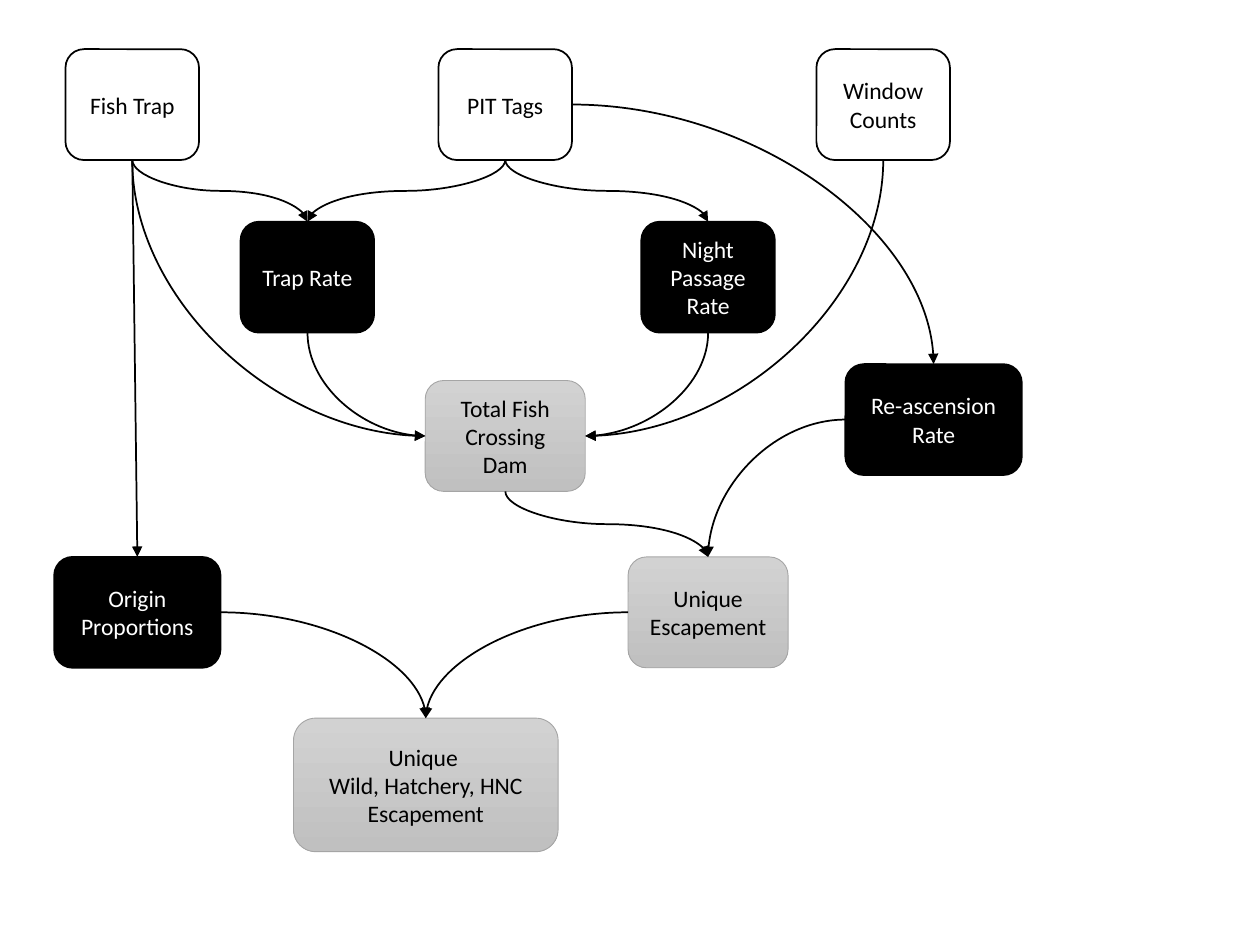
from lxml.etree import SubElement
from pptx import Presentation
from pptx.dml.color import RGBColor
from pptx.enum.shapes import MSO_CONNECTOR, MSO_SHAPE
from pptx.enum.text import MSO_ANCHOR, PP_ALIGN
from pptx.oxml.ns import qn
from pptx.util import Inches, Pt

THEME = {
    "font": "Calibri", "size": 13.5, "arrow": "000000", "arrow_width": 1,
    "source": {"fill": ["FFFFFF"], "line": "000000", "width": 1, "text": "000000"},
    "rate": {"fill": ["000000"], "line": "000000", "width": 1, "text": "FFFFFF"},
    "result": {"fill": ["D2D2D2", "C0C0C0"], "line": "A5A5A5", "width": 0.5, "text": "000000"},
}

# Box sizes by role, in inches
SMALL, MEDIUM = (1.06, 0.88), (1.27, 0.88)

# Name: (text, style, centre x, top, (width, height))
BOXES = {
    "window": ("Window Counts", "source", 7.01, 0.39, SMALL),
    "pit": ("PIT Tags", "source", 4.01, 0.39, SMALL),
    "trap": ("Fish Trap", "source", 1.05, 0.39, SMALL),
    "night": ("Night Passage Rate", "rate", 5.62, 1.76, SMALL),
    "trap_rate": ("Trap Rate", "rate", 2.44, 1.76, SMALL),
    "total": ("Total Fish Crossing Dam", "result", 4.01, 3.02, MEDIUM),
    "reascend": ("Re-ascension Rate", "rate", 7.41, 2.89, (1.4, 0.88)),
    "origin": ("Origin Proportions", "rate", 1.09, 4.42, (1.32, 0.88)),
    "unique": ("Unique Escapement", "result", 5.62, 4.42, MEDIUM),
    "by_group": ("Unique\u00a0\nWild, Hatchery, HNC Escapement", "result", 3.38, 5.7, (2.1, 1.06)),
}

# Connection sites of a rounded rectangle
TOP, LEFT, BOTTOM, RIGHT = range(4)

# (from box, site, to box, site, preset)
ARROWS = [
    ("window", BOTTOM, "total", RIGHT, "curvedConnector2"),
    ("night", BOTTOM, "total", RIGHT, "curvedConnector2"),
    ("trap_rate", BOTTOM, "total", LEFT, "curvedConnector2"),
    ("trap", BOTTOM, "total", LEFT, "curvedConnector2"),
    ("trap", BOTTOM, "origin", TOP, "straightConnector1"),
    ("pit", RIGHT, "reascend", TOP, "curvedConnector2"),
    ("reascend", LEFT, "unique", TOP, "curvedConnector2"),
    ("unique", LEFT, "by_group", TOP, "curvedConnector2"),
    ("total", BOTTOM, "unique", TOP, "curvedConnector3"),
    ("origin", RIGHT, "by_group", TOP, "curvedConnector2"),
    ("pit", BOTTOM, "night", TOP, "curvedConnector3"),
    ("pit", BOTTOM, "trap_rate", TOP, "curvedConnector3"),
    ("trap", BOTTOM, "trap_rate", TOP, "curvedConnector3"),
]


def rgb(value):
    return RGBColor.from_string(value)


def add_box(s, text, style, cx, top, size):
    look = THEME[style]
    w, h = size
    sp = s.shapes.add_shape(MSO_SHAPE.ROUNDED_RECTANGLE, Inches(cx - w / 2),
                            Inches(top), Inches(w), Inches(h))
    sp.shadow.inherit = False
    if len(look["fill"]) == 1:
        sp.fill.solid()
        sp.fill.fore_color.rgb = rgb(look["fill"][0])
    else:
        sp.fill.gradient()
        sp.fill.gradient_angle = 270
        for stop, color in zip(sp.fill.gradient_stops, look["fill"]):
            stop.color.rgb = rgb(color)
    sp.line.color.rgb = rgb(look["line"])
    sp.line.width = Pt(look["width"])

    tf = sp.text_frame
    tf.text = text
    tf.word_wrap = True
    tf.vertical_anchor = MSO_ANCHOR.MIDDLE
    for p in tf.paragraphs:
        p.alignment = PP_ALIGN.CENTER
        for r in p.runs:
            r.font.name = THEME["font"]
            r.font.size = Pt(THEME["size"])
            r.font.color.rgb = rgb(look["text"])
    return sp


def site_point(sp, site):
    share_x, share_y = [(0.5, 0), (0, 0.5), (0.5, 1), (1, 0.5)][site]
    return sp.left + sp.width * share_x, sp.top + sp.height * share_y


def add_arrow(s, start, start_site, end, end_site, preset):
    curved = preset.startswith("curved")
    kind = MSO_CONNECTOR.CURVE if curved else MSO_CONNECTOR.STRAIGHT
    cxn = s.shapes.add_connector(kind, 0, 0, 0, 0)
    cxn.begin_connect(start, start_site)
    cxn.end_connect(end, end_site)

    # A curve leaves its box sideways, so one that leaves downwards is turned
    (x1, y1), (x2, y2) = site_point(start, start_site), site_point(end, end_site)
    w, h, rot, flip = abs(x2 - x1), abs(y2 - y1), 0, x2 < x1
    if curved and start_site == BOTTOM:
        w, h = h, w
        rot, flip = (90, False) if x2 < x1 else (270, True)
    cxn.left, cxn.top = int((x1 + x2 - w) / 2), int((y1 + y2 - h) / 2)
    cxn.width, cxn.height = int(w), int(h)
    sp_pr = cxn._element.spPr
    xfrm = sp_pr.find(qn("a:xfrm"))
    xfrm.set("rot", str(rot * 60000))
    xfrm.set("flipH", str(int(flip)))
    xfrm.set("flipV", "0")
    sp_pr.find(qn("a:prstGeom")).set("prst", preset)

    # Line, arrowhead and no shadow
    cxn.line.color.rgb = rgb(THEME["arrow"])
    cxn.line.width = Pt(THEME["arrow_width"])
    SubElement(sp_pr.find(qn("a:ln")), qn("a:tailEnd"), type="triangle")
    SubElement(sp_pr, qn("a:effectLst"))


prs = Presentation()
prs.slide_width, prs.slide_height = Inches(10), Inches(7.5)
s = prs.slides.add_slide(prs.slide_layouts[6])

boxes = {name: add_box(s, *box) for name, box in BOXES.items()}
for start, start_site, end, end_site, preset in ARROWS:
    add_arrow(s, boxes[start], start_site, boxes[end], end_site, preset)

prs.save("out.pptx")
